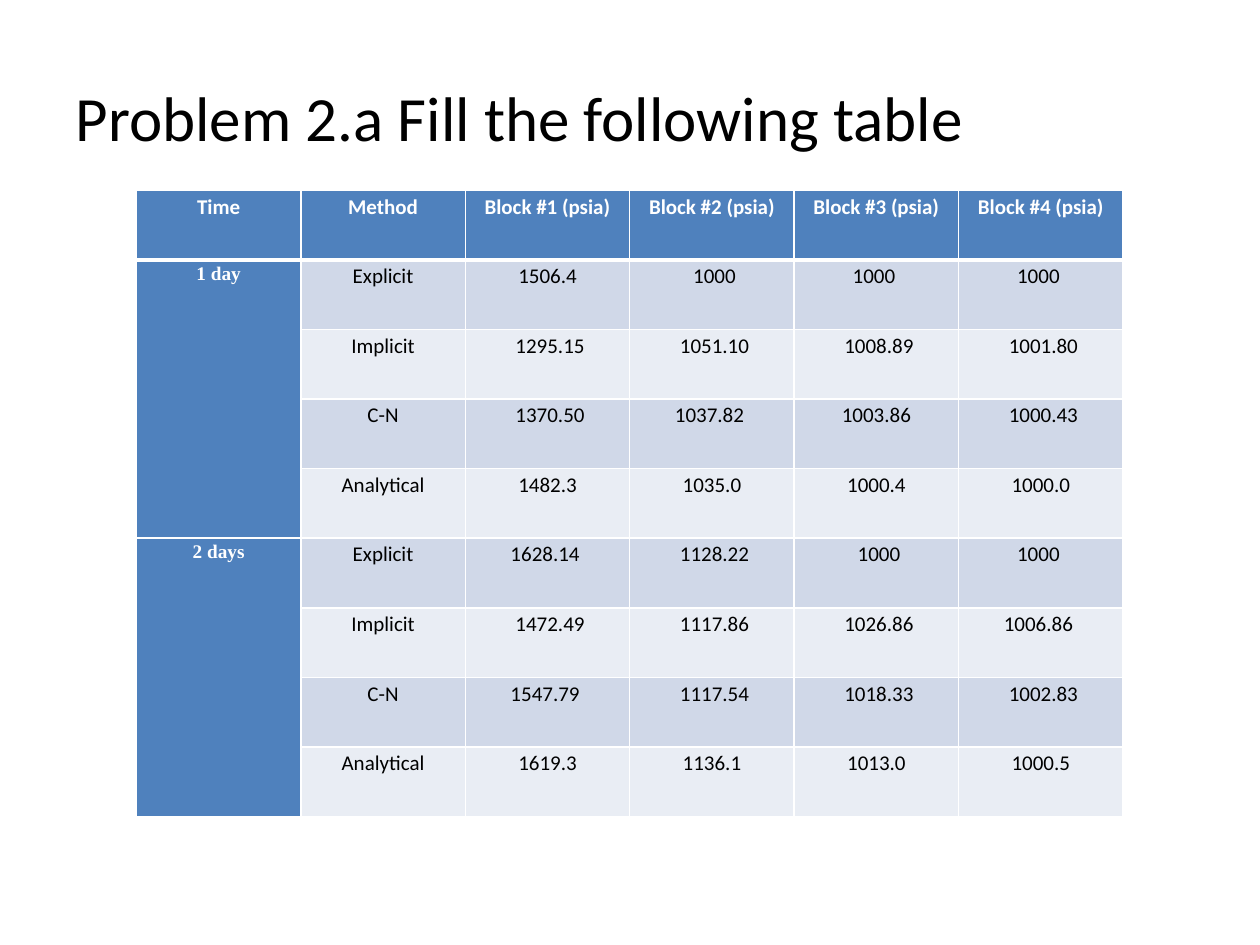
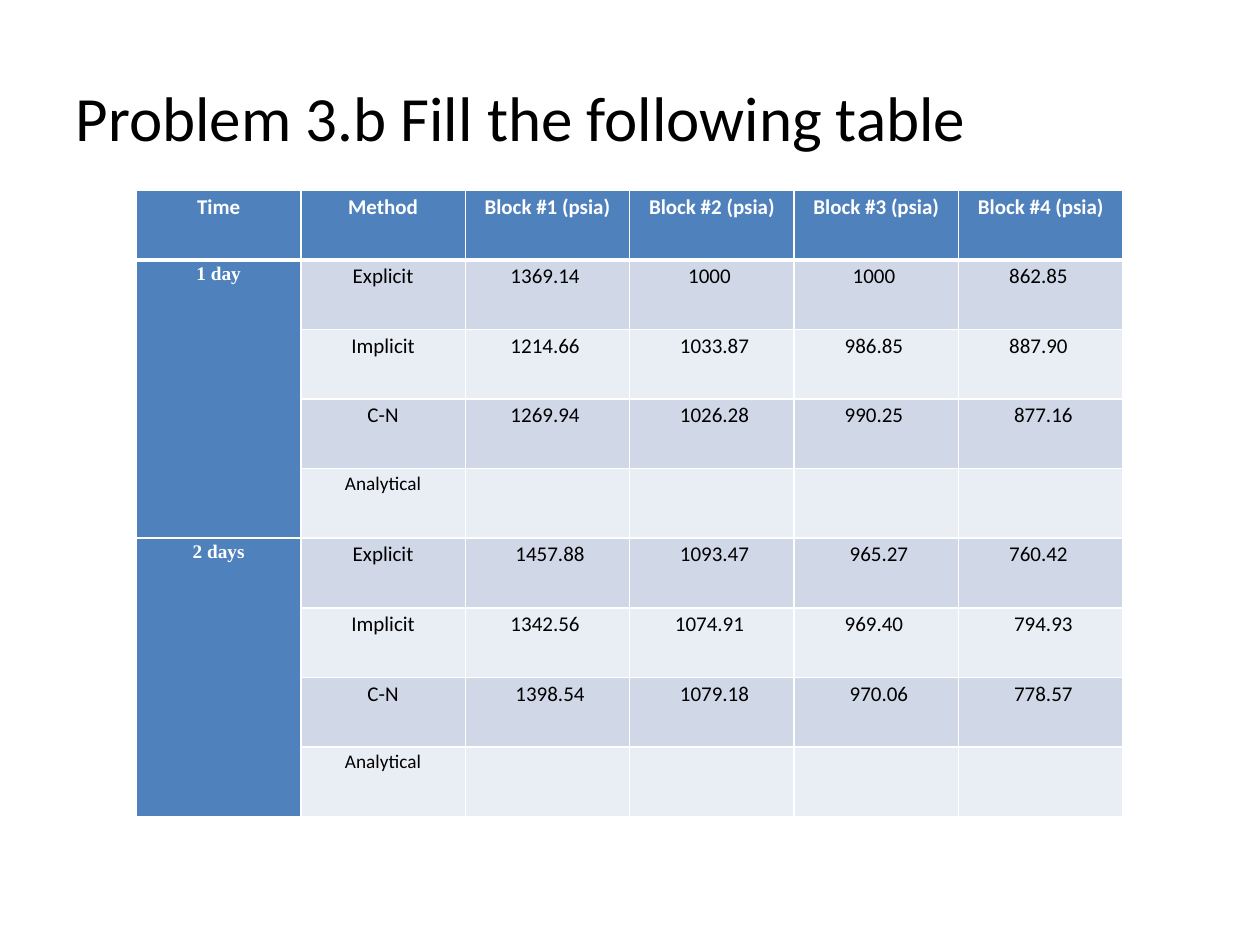
from dataclasses import dataclass

from lxml import etree
from pptx import Presentation
from pptx.dml.color import RGBColor
from pptx.enum.text import MSO_ANCHOR, PP_ALIGN
from pptx.oxml.ns import qn
from pptx.util import Cm, Pt

CENTER, LEFT = PP_ALIGN.CENTER, PP_ALIGN.LEFT
TOP, MIDDLE = MSO_ANCHOR.TOP, MSO_ANCHOR.MIDDLE
TITLE_ONLY = 5

COLORS = {
    "text": "000000",
    "white": "FFFFFF",
    "header": "4F81BD",
    "band_dark": "D0D8E8",
    "band_light": "E9EDF4",
}
BODY_FONT, TIME_FONT = "Calibri", "Times New Roman"
CELL_MARGIN = Cm(0.18)
NUDGE = Cm(0.1)
THIN, THICK = Pt(1), Pt(3)

HEADERS = ["Time", "Method"] + [f"Block #{n} (psia)" for n in range(1, 5)]
TIMES = ["1 day", "2 days"]
METHODS = ["Explicit", "Implicit", "C-N", "Analytical"]


@dataclass
class Result:
    """Pressures of one method; nudges: '<' left, '>' right, '.' centred."""
    values: str = ""
    nudges: str = "...."


@dataclass
class Problem:
    title: str
    results: list[Result]  # METHODS in order, for each of TIMES
    analytical_size: int


@dataclass
class Style:
    fill: str
    color: str = "text"
    font: str = BODY_FONT
    size: int = 12
    bold: bool = False


PROBLEMS = [
    Problem("Problem 2.a Fill the following table", [
        Result("1506.4 1000 1000 1000", ".><<"),
        Result("1295.15 1051.10 1008.89 1001.80", ">>>>"),
        Result("1370.50 1037.82 1003.86 1000.43", "><.>"),
        Result("1482.3 1035.0 1000.4 1000.0"),
        Result("1628.14 1128.22 1000 1000", "<>><"),
        Result("1472.49 1117.86 1026.86 1006.86", ">>><"),
        Result("1547.79 1117.54 1018.33 1002.83", "<>>>"),
        Result("1619.3 1136.1 1013.0 1000.5"),
    ], 12),
    Problem("Problem 3.b Fill the following table", [
        Result("1369.14 1000 1000 862.85", "<<<<"),
        Result("1214.66 1033.87 986.85 887.90", "<><<"),
        Result("1269.94 1026.28 990.25 877.16", "<><>"),
        Result(),
        Result("1457.88 1093.47 965.27 760.42", ">>><"),
        Result("1342.56 1074.91 969.40 794.93", "<<<>"),
        Result("1398.54 1079.18 970.06 778.57", ">>>>"),
        Result(),
    ], 11),
]


def rgb(name: str) -> RGBColor:
    return RGBColor.from_string(COLORS[name])


def format_paragraph(p, style: Style, align) -> None:
    p.alignment = align
    p.font.name = style.font
    p.font.size = Pt(style.size)
    p.font.bold = style.bold
    p.font.color.rgb = rgb(style.color)


def set_borders(cell, top: int = THIN, bottom: int = THIN) -> None:
    tc_pr = cell._tc.get_or_add_tcPr()
    widths = {"lnL": THIN, "lnR": THIN, "lnT": top, "lnB": bottom}
    for i, (side, width) in enumerate(widths.items()):
        ln = etree.Element(qn(f"a:{side}"), w=str(int(width)))
        fill = etree.SubElement(ln, qn("a:solidFill"))
        etree.SubElement(fill, qn("a:srgbClr"), val=COLORS["white"])
        tc_pr.insert(i, ln)


def fill_cell(cell, text: str, style: Style, nudge: str = ".") -> None:
    cell.fill.solid()
    cell.fill.fore_color.rgb = rgb(style.fill)
    cell.margin_left = CELL_MARGIN + (NUDGE if nudge == ">" else 0)
    cell.margin_right = CELL_MARGIN + (NUDGE if nudge == "<" else 0)
    cell.margin_top = cell.margin_bottom = 0
    cell.vertical_anchor = TOP
    cell.text = text
    p = cell.text_frame.paragraphs[0]
    format_paragraph(p, style, CENTER)
    p.line_spacing = 1.15


def add_title(slide, text: str) -> None:
    sp = slide.shapes.title
    sp.left, sp.top, sp.width, sp.height = Cm(1.27), Cm(0.76), Cm(22.86), Cm(3.18)
    tf = sp.text_frame
    tf.text = text
    tf.vertical_anchor = MIDDLE
    format_paragraph(tf.paragraphs[0], Style("white", size=36), LEFT)


def add_results_table(slide, problem: Problem) -> None:
    table = slide.shapes.add_table(
        len(problem.results) + 1, len(HEADERS),
        Cm(2.75), Cm(3.84), Cm(19.89), Cm(12.62)).table

    # Header row
    header = Style("header", "white", bold=True)
    for col, text in enumerate(HEADERS):
        fill_cell(table.cell(0, col), text, header)

    # Time column, one merged cell per time
    time_style = Style("header", "white", TIME_FONT, 11, True)
    span = len(METHODS)
    for i, text in enumerate(TIMES):
        first = 1 + i * span
        cell = table.cell(first, 0)
        cell.merge(table.cell(first + span - 1, 0))
        fill_cell(cell, text, time_style)

    # Methods and pressures in alternating bands
    for i, result in enumerate(problem.results):
        method = METHODS[i % span]
        band = "band_light" if i % 2 else "band_dark"
        size = problem.analytical_size if method == "Analytical" else 12
        style = Style(band, size=size)
        values = result.values.split() or [""] * len(result.nudges)
        fill_cell(table.cell(i + 1, 1), method, style)
        for col, (value, nudge) in enumerate(zip(values, result.nudges), 2):
            fill_cell(table.cell(i + 1, col), value, style, nudge)

    # Borders, with a thick rule under the header
    for row in range(len(table.rows)):
        for col in range(len(HEADERS)):
            cell = table.cell(row, col)
            if not cell.is_spanned:
                set_borders(cell, THICK if row == 1 else THIN,
                            THICK if row == 0 else THIN)


def main() -> None:
    prs = Presentation()
    prs.slide_width, prs.slide_height = Cm(25.4), Cm(19.05)
    for problem in PROBLEMS:
        slide = prs.slides.add_slide(prs.slide_layouts[TITLE_ONLY])
        add_title(slide, problem.title)
        add_results_table(slide, problem)
    prs.save("out.pptx")


if __name__ == "__main__":
    main()
